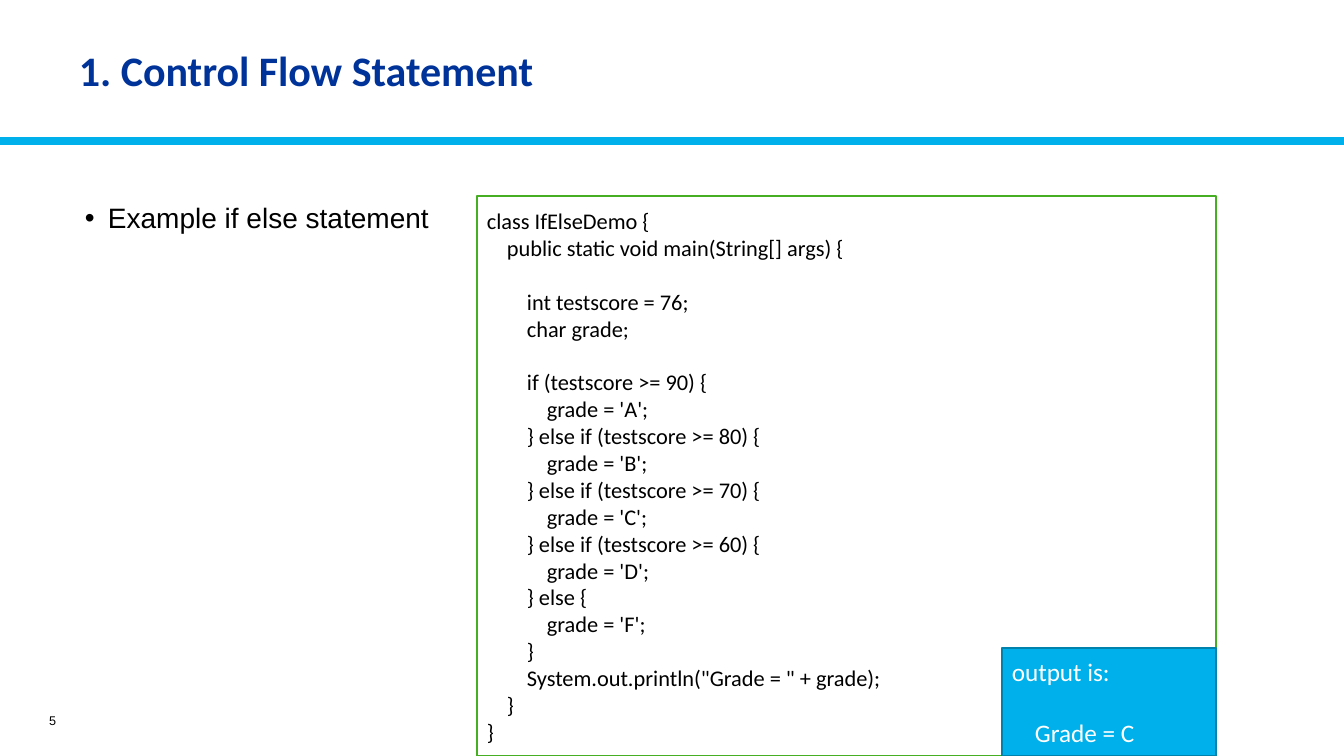
from dataclasses import dataclass
from typing import Optional

from lxml.etree import SubElement
from pptx import Presentation
from pptx.dml.color import RGBColor
from pptx.enum.shapes import MSO_CONNECTOR as Connector, MSO_SHAPE as Shape
from pptx.enum.text import MSO_ANCHOR as Anchor, PP_ALIGN as Align
from pptx.oxml.ns import qn
from pptx.util import Emu, Inches, Pt

EMU_PER_PX = Inches(7.5) / 756
WIDTH, HEIGHT = 1344, 756

BLACK = RGBColor(0x00, 0x00, 0x00)
WHITE = RGBColor(0xFF, 0xFF, 0xFF)
NAVY = RGBColor(0x00, 0x33, 0x99)
CYAN = RGBColor(0x00, 0xB0, 0xEA)
DARK_CYAN = RGBColor(0x00, 0x82, 0xAD)
GREEN = RGBColor(0x45, 0xAE, 0x22)


@dataclass
class Line:
    text: str
    level: int = 0
    gap_before: bool = False


@dataclass
class Block:
    left: int
    top: int
    width: int
    height: int
    lines: list[Line]
    size: int
    color: RGBColor = BLACK
    font: str = "Calibri"
    bold: bool = False
    align: Align = Align.LEFT
    anchor: Anchor = Anchor.MIDDLE
    spacing: Optional[float] = None  # points if above 3, else a multiple
    gap: float = 0  # points left free before a line with gap_before
    step: int = 0  # px of indent per level
    bullet_margin: int = 0
    bullet_hang: int = 0
    fill: Optional[RGBColor] = None
    border: Optional[RGBColor] = None


CODE = [
    Line("class IfElseDemo {"),
    Line("public static void main(String[] args) {", 1),
    Line("int testscore = 76;", 2, gap_before=True),
    Line("char grade;", 2),
    Line("if (testscore >= 90) {", 2, gap_before=True),
    Line("grade = 'A';", 3),
    Line("} else if (testscore >= 80) {", 2),
    Line("grade = 'B';", 3),
    Line("} else if (testscore >= 70) {", 2),
    Line("grade = 'C';", 3),
    Line("} else if (testscore >= 60) {", 2),
    Line("grade = 'D';", 3),
    Line("} else {", 2),
    Line("grade = 'F';", 3),
    Line("}", 2),
    Line('System.out.println("Grade = " + grade);', 2),
    Line("}", 1),
    Line("}"),
]
OUTPUT = [Line("output is:"), Line("Grade = C", 1, gap_before=True)]

BLOCKS = [
    # Title
    Block(69, 17, 1212, 112, [Line("1. Control Flow Statement")], 30, NAVY,
          bold=True, spacing=0.9),
    # Slide number
    Block(9, 705, 57, 30, [Line("5")], 9, font="Arial", align=Align.RIGHT),
    # Bullet
    Block(49, 196, 1215, 476, [Line("Example if else statement")], 20,
          font="Arial", anchor=Anchor.TOP, bullet_margin=49, bullet_hang=23),
    # Code listing
    Block(477, 196, 739, 560, CODE, 16, spacing=19.2, gap=19.2, step=20,
          fill=WHITE, border=GREEN),
    # Program output
    Block(1002, 648, 214, 108, OUTPUT, 18, WHITE, gap=22, step=23,
          fill=CYAN, border=DARK_CYAN),
]


def px(length: int) -> Emu:
    return Emu(round(length * EMU_PER_PX))


def draw_rule(slide, y: int) -> None:
    rule = slide.shapes.add_connector(Connector.STRAIGHT, 0, px(y), px(WIDTH), px(y))
    rule.line.color.rgb = CYAN
    rule.line.width = Pt(6)
    SubElement(rule._element.spPr, qn("a:effectLst"))


def format_paragraph(paragraph, line: Line, block: Block) -> None:
    paragraph.text = line.text
    paragraph.alignment = block.align
    if block.spacing:
        paragraph.line_spacing = Pt(block.spacing) if block.spacing > 3 else block.spacing
    if line.gap_before:
        paragraph.space_before = Pt(block.gap)
    properties = paragraph._p.get_or_add_pPr()
    properties.set("marL", str(px(block.bullet_margin + line.level * block.step)))
    if block.bullet_hang:
        properties.set("indent", str(-px(block.bullet_hang)))
        SubElement(properties, qn("a:buFont"), typeface="Arial")
        SubElement(properties, qn("a:buChar"), char="•")
    font = paragraph.runs[0].font
    font.name = block.font
    font.size = Pt(block.size)
    font.bold = block.bold
    font.color.rgb = block.color


def draw_block(slide, block: Block) -> None:
    place = [px(v) for v in (block.left, block.top, block.width, block.height)]
    if block.fill is None:
        shape = slide.shapes.add_textbox(*place)
    else:
        shape = slide.shapes.add_shape(Shape.RECTANGLE, *place)
        shape.shadow.inherit = False
        shape.fill.solid()
        shape.fill.fore_color.rgb = block.fill
        shape.line.color.rgb = block.border
        shape.line.width = Pt(1)
    text_frame = shape.text_frame
    text_frame.word_wrap = True
    text_frame.vertical_anchor = block.anchor
    for index, line in enumerate(block.lines):
        paragraph = text_frame.add_paragraph() if index else text_frame.paragraphs[0]
        format_paragraph(paragraph, line, block)


def main() -> None:
    presentation = Presentation()
    presentation.slide_width = px(WIDTH)
    presentation.slide_height = px(HEIGHT)
    slide = presentation.slides.add_slide(presentation.slide_layouts[6])
    draw_rule(slide, 141)
    for block in BLOCKS:
        draw_block(slide, block)
    presentation.save("out.pptx")


if __name__ == "__main__":
    main()
